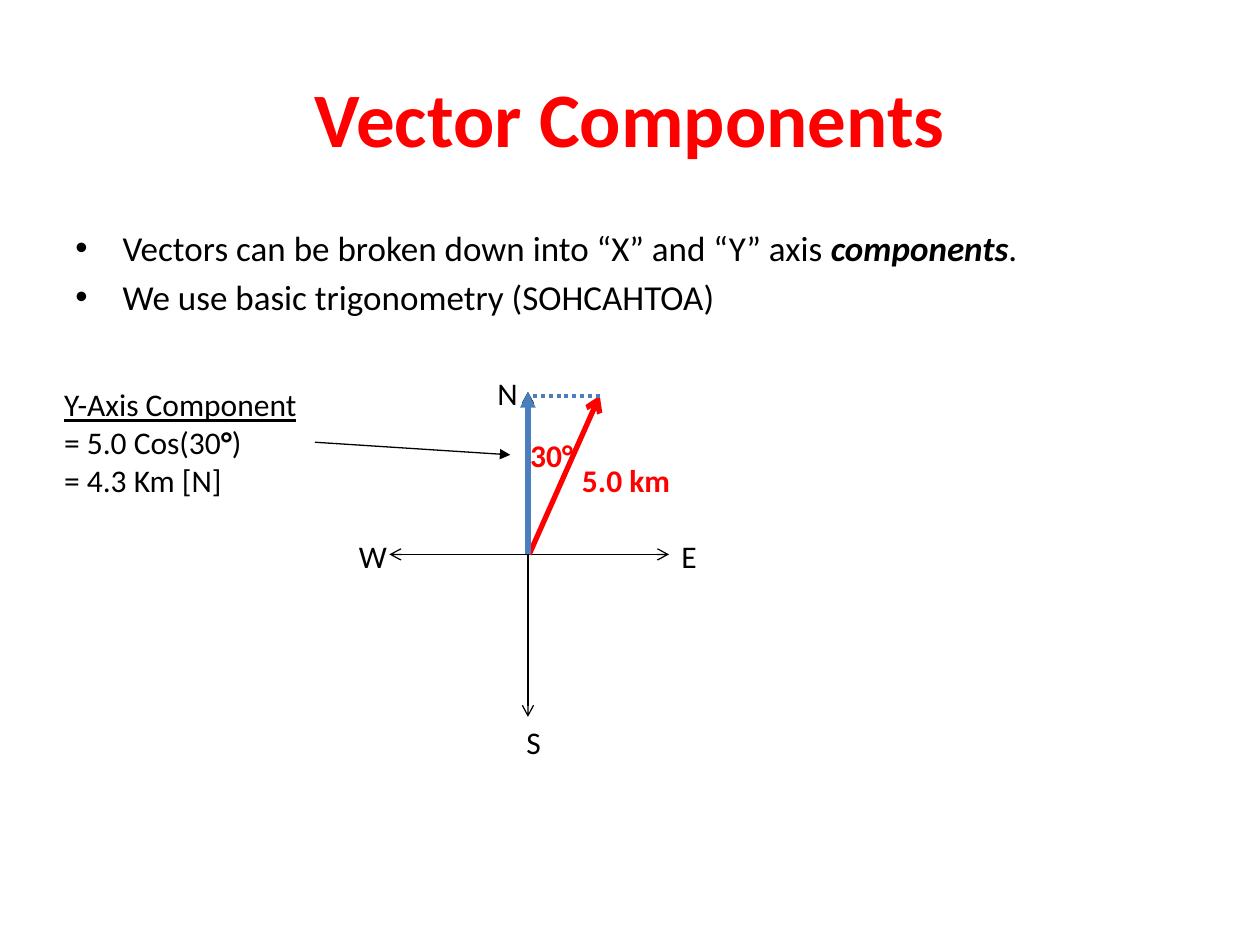
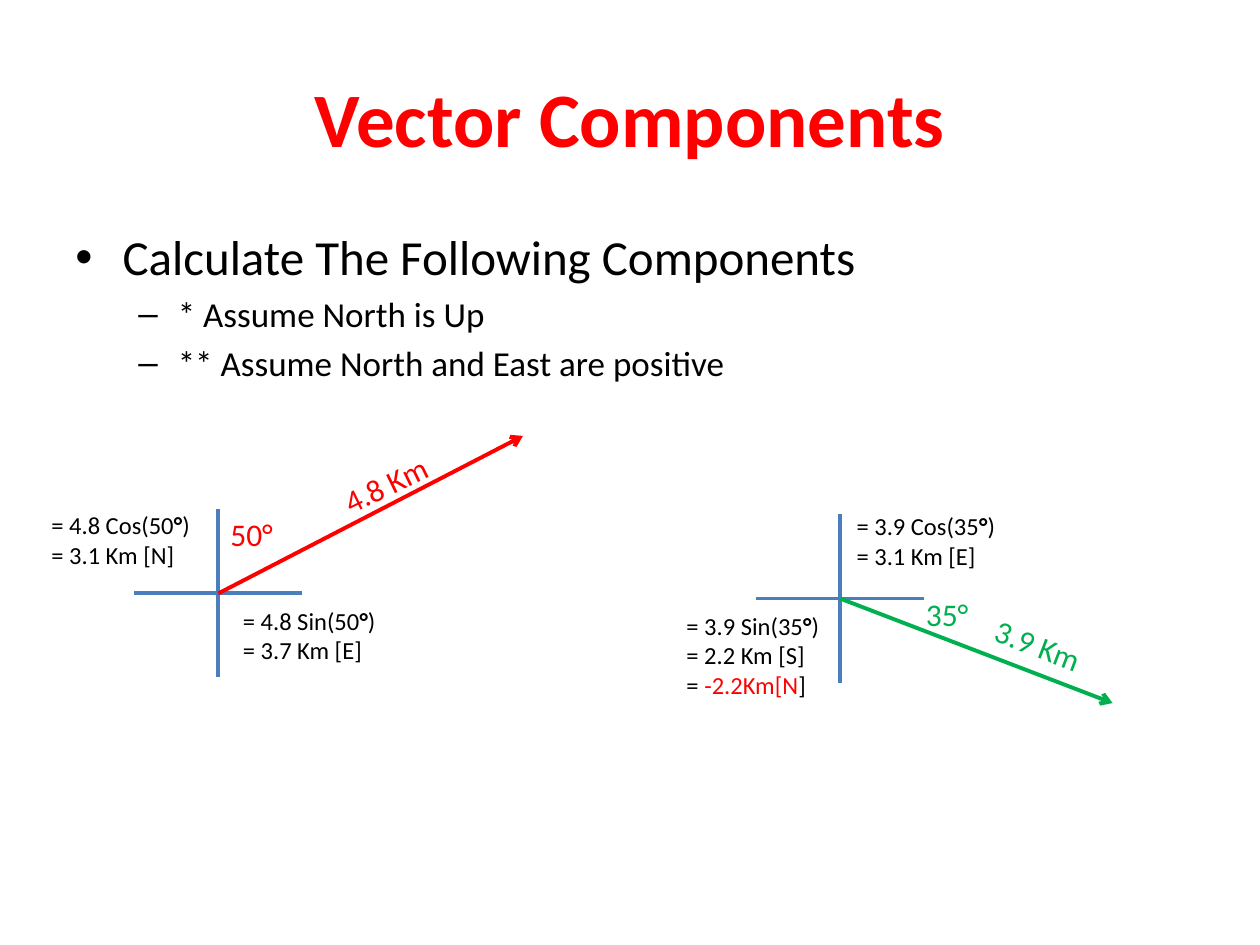
"""Build two slides on splitting vectors into components."""
from dataclasses import dataclass

from lxml.etree import SubElement
from pptx import Presentation
from pptx.dml.color import RGBColor as Rgb
from pptx.enum.dml import MSO_LINE as Dash
from pptx.enum.shapes import MSO_CONNECTOR as Link
from pptx.enum.text import MSO_ANCHOR as Anchor, MSO_AUTO_SIZE as Fit, PP_ALIGN as Align
from pptx.oxml.ns import qn
from pptx.util import Inches, Pt

COLS, ROWS = 100, 75
CELL = Inches(10) // COLS


@dataclass(frozen=True)
class Theme:
    """Colours, type sizes and line widths."""
    font: str = "Calibri"
    ink: str = "000000"
    red: str = "FF0000"
    green: str = "00B050"
    blue: str = "4B7EBC"
    title: int = 44
    lead: int = 28
    body: int = 20
    label: int = 18
    note: int = 14
    gap: int = 4
    thin: float = 0.75
    mid: float = 2.25
    thick: float = 3


LOOK = Theme()
BULLETS = (("•", 3.75, -3.75), ("–", 8.13, -3.13))


def grid(*cells):
    """Turn grid cells into slide lengths."""
    return [round(cell * CELL) for cell in cells]


def add_runs(para, runs, size, tone=LOOK.ink):
    """Add (text, style, colour) runs; style letters are b, i and u."""
    for text, style, *own in runs:
        run = para.add_run()
        run.text = text
        font = run.font
        font.name, font.size = LOOK.font, Pt(size)
        font.bold, font.italic, font.underline = (mark in style for mark in "biu")
        font.color.rgb = Rgb.from_string(own[0] if own else tone)


def add_box(slide, area, wrap=True, fit=Fit.NONE):
    """Add an empty text box and return its frame and shape."""
    shape = slide.shapes.add_textbox(*grid(*area))
    frame = shape.text_frame
    frame.word_wrap, frame.auto_size = wrap, fit
    return frame, shape


def add_paras(frame, count):
    """Yield the given number of paragraphs of a frame."""
    for place in range(count):
        yield frame.add_paragraph() if place else frame.paragraphs[0]


def add_text(slide, area, lines, size, tone=LOOK.ink, wrap=False, turn=0):
    """Add a label or note with one list of runs per line."""
    frame, shape = add_box(slide, area, wrap, Fit.SHAPE_TO_FIT_TEXT)
    shape.rotation = turn
    for para, runs in zip(add_paras(frame, len(lines)), lines):
        add_runs(para, runs, size, tone)


def add_title(slide, text):
    """Add the centred red title."""
    frame, _ = add_box(slide, (5, 3, COLS - 10, 12.5))
    frame.vertical_anchor = Anchor.MIDDLE
    para = frame.paragraphs[0]
    para.alignment = Align.CENTER
    add_runs(para, [(text, "b")], LOOK.title, LOOK.red)


def add_list(slide, items):
    """Add the bulleted body from (level, size, runs) items."""
    frame, _ = add_box(slide, (5, 17.5, COLS - 10, ROWS - 25.5))
    for place, para in enumerate(add_paras(frame, len(items))):
        level, size, runs = items[place]
        mark, left, hang = BULLETS[level]
        props = para._p.get_or_add_pPr()
        for name, value in zip(("marL", "indent"), grid(left, hang)):
            props.set(name, str(value))
        SubElement(props, qn("a:buFont")).set("typeface", "Arial")
        SubElement(props, qn("a:buChar")).set("char", mark)
        para.level = level
        if place:
            para.space_before = Pt(LOOK.gap)
        add_runs(para, runs, size)


def add_line(slide, start, end, tone, width, head=None, tail=None, dash=None):
    """Draw a straight line with optional arrowheads and dashes."""
    link = slide.shapes.add_connector(Link.STRAIGHT, *grid(*start, *end))
    line = link.line
    line.color.rgb = Rgb.from_string(tone)
    line.width = Pt(width)
    if dash:
        line.dash_style = dash
    props = link._element.spPr
    for name, kind in (("a:headEnd", head), ("a:tailEnd", tail)):
        if kind:
            SubElement(props.find(qn("a:ln")), qn(name)).set("type", kind)
    SubElement(props, qn("a:effectLst"))


def calc(text):
    """Split a formula into runs with a bold degree sign."""
    left, right = text.split("°")
    return [(left, ""), ("°", "b"), (right, "")]


def add_cross(slide, hub, tip, tone, angle, reach):
    """Draw blue axes, a vector and its (text, area, turn) labels."""
    x, y = hub
    arm = 6.67
    add_line(slide, (x, y - arm), (x, y + arm), LOOK.blue, LOOK.mid)
    add_line(slide, (x + arm, y), (x - arm, y), LOOK.blue, LOOK.mid)
    add_line(slide, hub, tip, tone, LOOK.mid, tail="arrow")
    for text, area, turn in (angle, reach):
        add_text(slide, area, [[(text, "")]], LOOK.label, tone, turn=turn)


def add_compass(slide, hub):
    """Draw the black compass axes and their letters."""
    x, y = hub
    ends = (((x, y + 12.9), (x, y - 12.9)), ((x - 11, y), (x + 11.2, y)))
    for start, end in ends:
        add_line(slide, start, end, LOOK.ink, LOOK.thin, "arrow", "arrow")
    spots = {"E": (53.1, 42.1), "N": (38.5, 29.2), "S": (40.8, 56.9), "W": (27.5, 42.1)}
    for text, spot in spots.items():
        add_text(slide, (*spot, 6.7, 3.8), [[(text, "")]], LOOK.label, wrap=True)


def draw_basics(slide):
    """Fill the slide that explains the north component."""
    add_list(slide, [
        (0, LOOK.body, [("Vectors can be broken down into “X” and “Y” axis ", ""),
                        ("components", "bi"), (".", "")]),
        (0, LOOK.body, [("We use basic trigonometry (SOHCAHTOA)", "")]),
    ])
    hub, north, tip = (41.9, 44), (41.9, 31.1), (47.6, 31.4)
    add_compass(slide, hub)
    add_line(slide, (42, 44), tip, LOOK.red, LOOK.thick, tail="arrow")
    for text, area in (("30°", (41.1, 34.1, 7.1, 4)), ("5.0 km", (45.2, 36.1, 10.1, 4))):
        add_text(slide, area, [[(text, "b")]], LOOK.label, LOOK.red, wrap=True)
    add_line(slide, tip, (42, 31.4), LOOK.blue, LOOK.mid, dash=Dash.ROUND_DOT)
    add_line(slide, hub, north, LOOK.blue, LOOK.thick, tail="triangle")
    lines = [[("Y-Axis Component", "u")], calc("= 5.0 Cos(30°)"), [("= 4.3 Km [N]", "")]]
    add_text(slide, (4.1, 30.1, 20.9, 10.1), lines, LOOK.label)
    add_line(slide, (25, 35.1), (40.5, 36.1), LOOK.ink, LOOK.thin, tail="triangle")


def draw_tasks(slide):
    """Fill the slide with two worked vectors."""
    add_list(slide, [
        (0, LOOK.lead, [("Calculate The Following Components", "")]),
        (1, LOOK.body, [("* Assume North is Up", "")]),
        (1, LOOK.body, [("** Assume North and East are positive", "")]),
    ])
    add_cross(slide, (17.33, 47.1), (41.5, 34.6), LOOK.red,
              ("50°", (17.3, 40.4, 5.6, 4), 0), ("4.8 Km", (26.1, 36.4, 9.1, 4), 334))
    add_cross(slide, (66.67, 47.5), (88.3, 55.8), LOOK.green,
              ("35°", (72.5, 46.7, 5.6, 4), 0), ("3.9 Km", (77.9, 49.2, 9.1, 4), 20.9))
    south = [("= ", ""), ("-2.2Km[N", "", LOOK.red), ("]", "")]
    notes = (
        ((3.1, 40, 13.2, 5.7), "= 4.8 Cos(50°)", [("= 3.1 Km [N]", "")]),
        ((53.5, 48, 12.7, 8.1), "= 3.9 Sin(35°)", [("= 2.2 Km [S]", "")], south),
        ((18.3, 47.6, 12.7, 5.7), "= 4.8 Sin(50°)", [("= 3.7 Km [E]", "")]),
        ((67, 40.1, 13.2, 5.7), "= 3.9 Cos(35°)", [("= 3.1 Km [E]", "")]),
    )
    for area, rule, *rest in notes:
        add_text(slide, area, [calc(rule), *rest], LOOK.note)


def main():
    """Build and save the deck."""
    deck = Presentation()
    deck.slide_width, deck.slide_height = grid(COLS, ROWS)
    for draw in (draw_basics, draw_tasks):
        slide = deck.slides.add_slide(deck.slide_layouts[6])
        add_title(slide, "Vector Components")
        draw(slide)
    deck.save("out.pptx")


if __name__ == "__main__":
    main()
